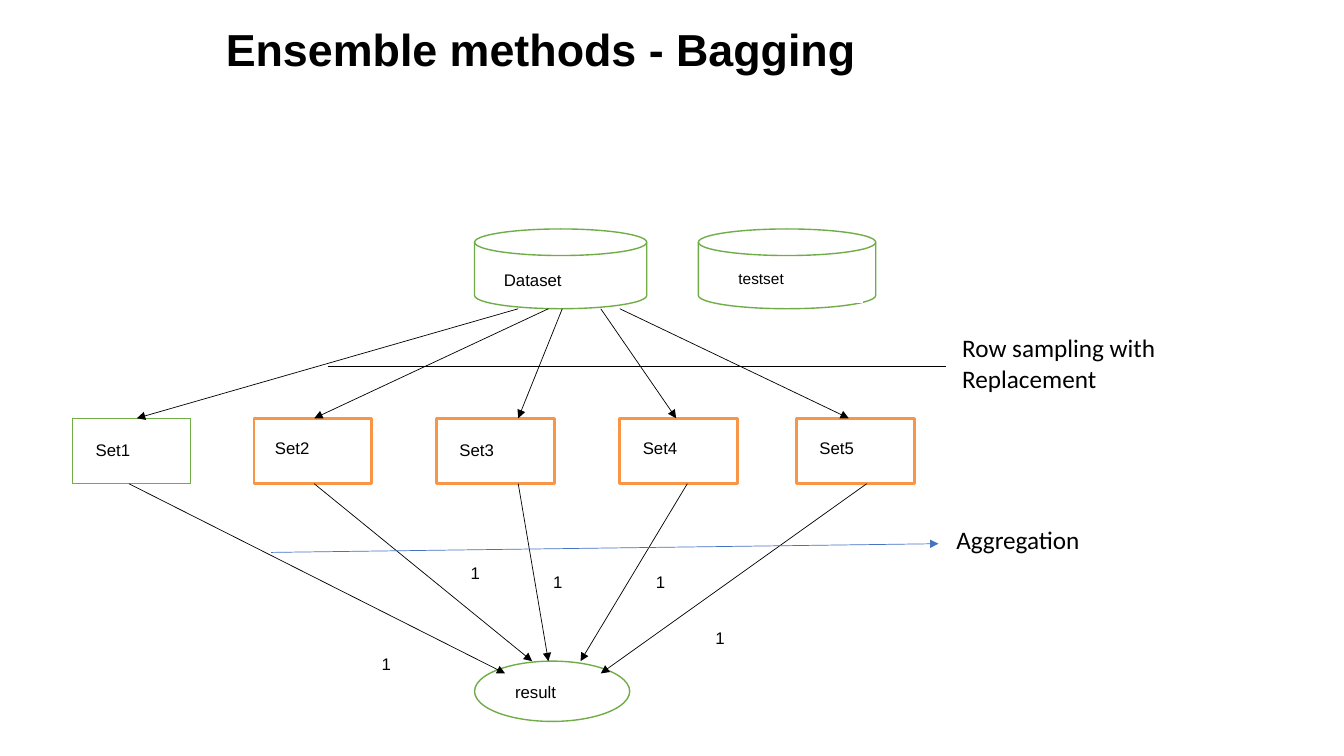
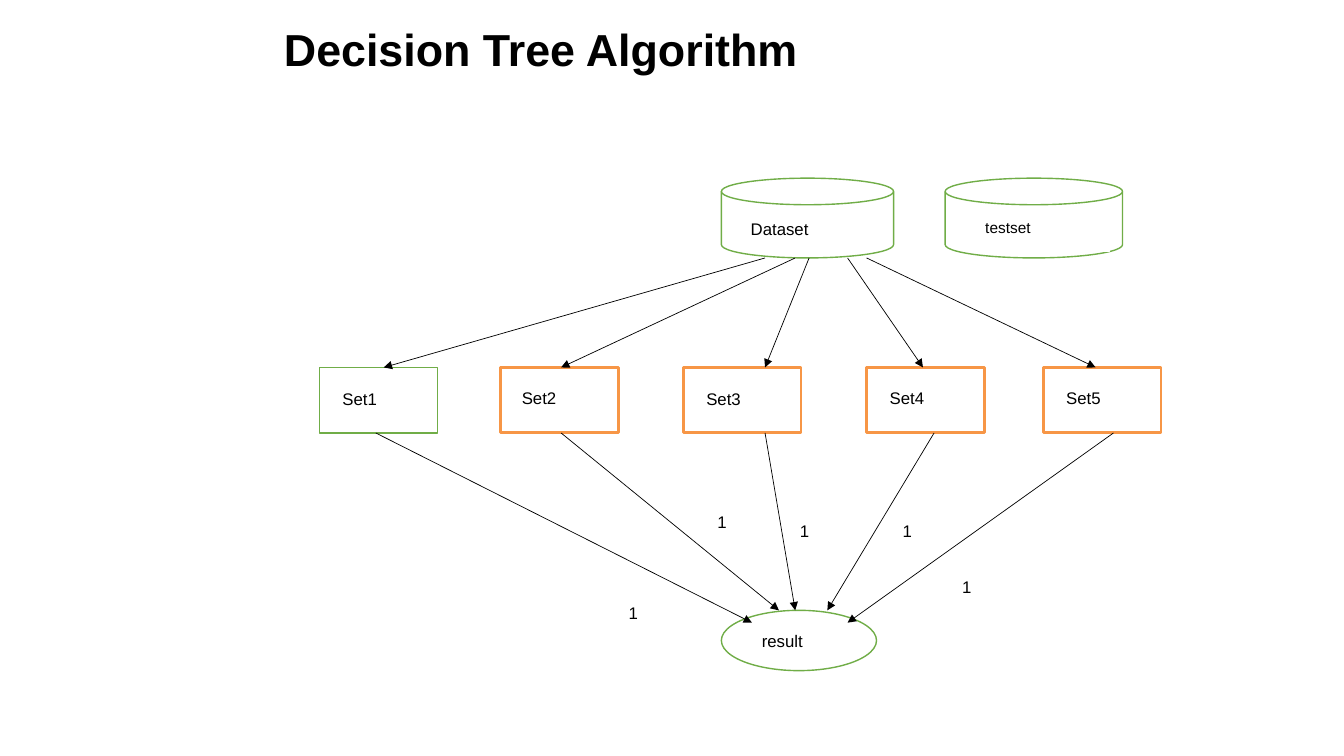
import dataclasses
import typing

import pptx
import pptx.dml.color
import pptx.enum.shapes
import pptx.enum.text
import pptx.oxml.ns
import pptx.oxml.xmlchemy
import pptx.util

Cm = pptx.util.Cm
Pt = pptx.util.Pt
Kind = pptx.enum.shapes.MSO_SHAPE
Align = pptx.enum.text.PP_ALIGN
Anchor = pptx.enum.text.MSO_ANCHOR
qn = pptx.oxml.ns.qn

COLOR = {
    "black": "000000",
    "white": "FFFFFF",
    "green": "70AD47",
    "orange": "F79646",
    "blue": "4472C4",
}


class Point(typing.NamedTuple):
    x: float
    y: float


class Box(typing.NamedTuple):
    x: float
    y: float
    w: float
    h: float

    def cm(self) -> list[pptx.util.Length]:
        return [Cm(side) for side in self]


@dataclasses.dataclass(frozen=True)
class Disk:
    name: str
    box: Box
    label: Point
    size: int


@dataclasses.dataclass(frozen=True)
class Sample:
    """A sampled set, its arrows in and out, and its vote."""
    name: str
    left: float
    label: Point
    start: float
    enter: float
    leave: float
    end: Point
    vote: Box
    color: str = "orange"
    width: float = 2


TITLE = Box(1.8, 0.41, 23.67, 1.8)
DISK_Y, DISK_H = 5.77, 2.01
SET_Y, SET_W, SET_H = 10.54, 2.97, 1.65
LABEL_W, LABEL_H = 2.41, 0.97
RESULT = Box(11.96, 16.66, 3.91, 1.52)
RIM, SIDE = RESULT.y, 16.97

DISKS = [
    Disk("Dataset", Box(11.96, DISK_Y, 4.34, DISK_H), Point(12.45, 6.59), 12),
    Disk("testset", Box(17.6, DISK_Y, 4.47, DISK_H), Point(18.36, 6.59), 11),
]
SETS = [
    Sample("Set1", 1.83, Point(2.16, 10.88), 13.06, 3.45, 3.25,
           Point(12.73, SIDE), Box(9.37, 16.28, 1.45, 0.97), "green", 1),
    Sample("Set2", 6.4, Point(6.68, 10.84), 13.82, 7.92, 7.92,
           Point(13.41, RIM), Box(11.61, 13.97, 1.45, 0.97)),
    Sample("Set3", 11, Point(11.33, 10.88), 14.17, 13.06, 13.06,
           Point(13.82, RIM), Box(13.69, 14.2, 1.45, 0.97)),
    Sample("Set4", 15.62, Point(15.95, 10.84), 15.14, 17.04, 17.32,
           Point(14.63, RIM), Box(16.28, 14.2, 1.04, 0.97)),
    Sample("Set5", 20.07, Point(20.4, 10.84), 15.62, 21.39, 21.84,
           Point(15.14, SIDE), Box(17.78, 15.62, 1.17, 1.04)),
]


def tint(name: str) -> pptx.dml.color.RGBColor:
    return pptx.dml.color.RGBColor.from_string(COLOR[name])


def style(para, size: float, face: str, bold: bool = False) -> None:
    font = para.font
    font.size, font.name, font.bold = Pt(size), face, bold
    font.color.rgb = tint("black")


def shape(shapes, kind: Kind, box: Box, color: str, width: float):
    item = shapes.add_shape(kind, *box.cm())
    item.shadow.inherit = False
    item.fill.solid()
    item.fill.fore_color.rgb = tint("white")
    item.line.color.rgb = tint(color)
    item.line.width = Pt(width)
    return item


def label(shapes, text: str, box: Box, size: float = 12) -> None:
    frame = shape(shapes, Kind.RECTANGLE, box, "white", 0.5).text_frame
    frame.vertical_anchor = Anchor.TOP
    para = frame.paragraphs[0]
    para.text = text
    para.alignment = Align.LEFT
    para.line_spacing = 1.15
    para.space_after = Pt(10)
    style(para, size, "Arial")


def line(shapes, start: Point, end: Point, color: str = "black",
         arrow: bool = True) -> None:
    item = shapes.add_connector(
        pptx.enum.shapes.MSO_CONNECTOR.STRAIGHT,
        *(Cm(part) for part in (*start, *end)))
    item.line.color.rgb = tint(color)
    item.line.width = Pt(0.5)
    props = item._element.spPr
    if arrow:
        tail = pptx.oxml.xmlchemy.OxmlElement("a:tailEnd")
        tail.set("type", "triangle")
        props.find(qn("a:ln")).append(tail)
    props.append(pptx.oxml.xmlchemy.OxmlElement("a:effectLst"))


def note(shapes, text: str, box: Box):
    """Add a wrapped text box and return its frame."""
    frame = shapes.add_textbox(*box.cm()).text_frame
    frame.word_wrap = True
    para = frame.paragraphs[0]
    para.text = text
    style(para, 18, "Calibri")
    return frame


def page(deck, title: str):
    """Add a blank slide with a title."""
    slide = deck.slides.add_slide(deck.slide_layouts[6])
    frame = note(slide.shapes, title, TITLE)
    frame.vertical_anchor = Anchor.MIDDLE
    para = frame.paragraphs[0]
    para.alignment = Align.CENTER
    para.line_spacing = 0.9
    style(para, 32, "Arial", True)
    return slide


def chart(slide, shift: Point = Point(0, 0)) -> None:
    """Draw the sampling diagram as one group, moved by shift."""
    group = slide.shapes.add_group_shape()
    shapes = group.shapes
    for disk in DISKS:
        shape(shapes, Kind.FLOWCHART_MAGNETIC_DISK, disk.box, "green", 1)
        label(shapes, disk.name, Box(*disk.label, 3.38, 1.02), disk.size)
    shape(shapes, Kind.OVAL, RESULT, "green", 1)
    label(shapes, "result", Box(12.73, SIDE, LABEL_W, LABEL_H))
    for item in SETS:
        box = Box(item.left, SET_Y, SET_W, SET_H)
        shape(shapes, Kind.RECTANGLE, box, item.color, item.width)
        label(shapes, item.name, Box(*item.label, LABEL_W, LABEL_H))
        line(shapes, Point(item.start, DISK_Y + DISK_H),
             Point(item.enter, SET_Y))
        line(shapes, Point(item.leave, SET_Y + SET_H), item.end)
        label(shapes, "1", item.vote)
    group.left += Cm(shift.x)
    group.top += Cm(shift.y)


def main() -> None:
    deck = pptx.Presentation()
    deck.slide_width, deck.slide_height = Cm(33.87), Cm(19.05)

    bag = page(deck, "Ensemble methods - Bagging")
    chart(bag)
    line(bag.shapes, Point(8.26, 9.22), Point(23.85, 9.22), arrow=False)
    note(bag.shapes, "Row sampling with Replacement",
         Box(24, 8.26, 8.03, 1.8))
    line(bag.shapes, Point(6.83, 13.92), Point(23.65, 13.7), "blue")
    note(bag.shapes, "Aggregation", Box(23.85, 13.08, 5.26, 1.02))

    tree = page(deck, "Decision Tree Algorithm")
    chart(tree, Point(6.22, -1.28))

    deck.save("out.pptx")


if __name__ == "__main__":
    main()
